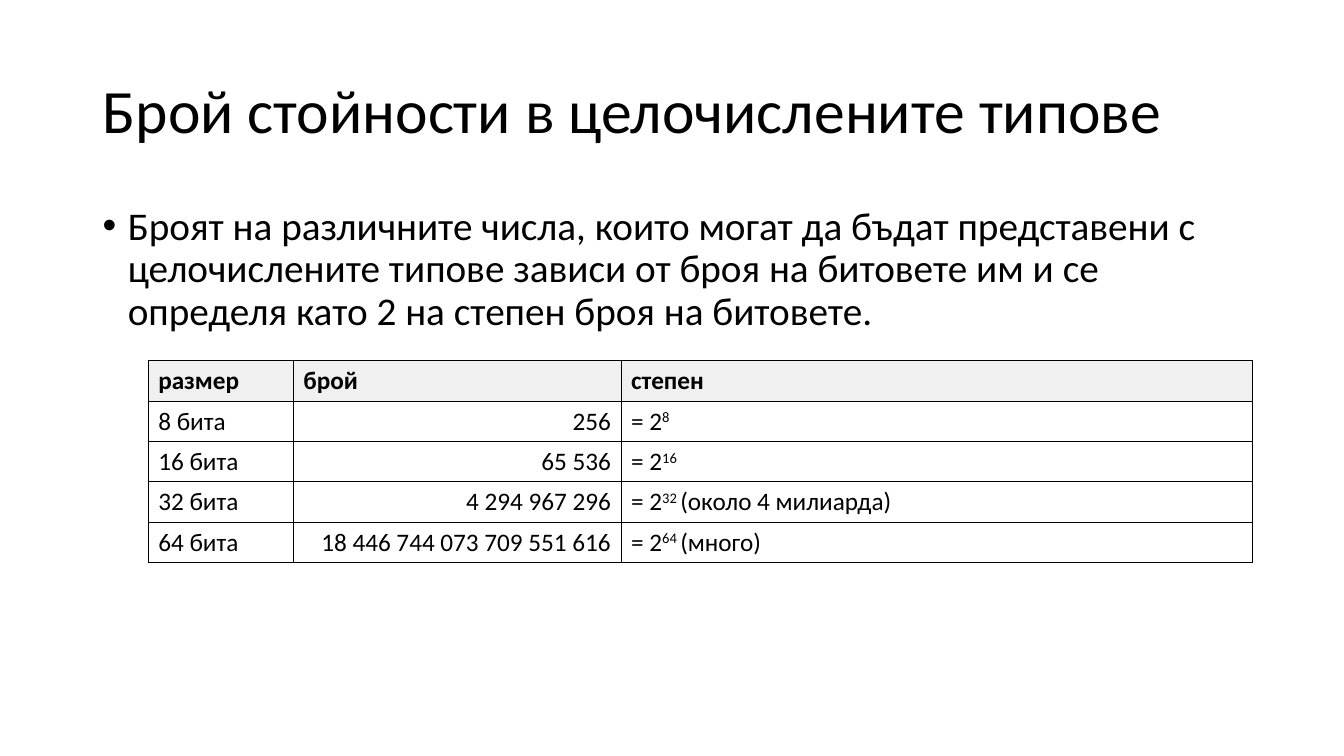
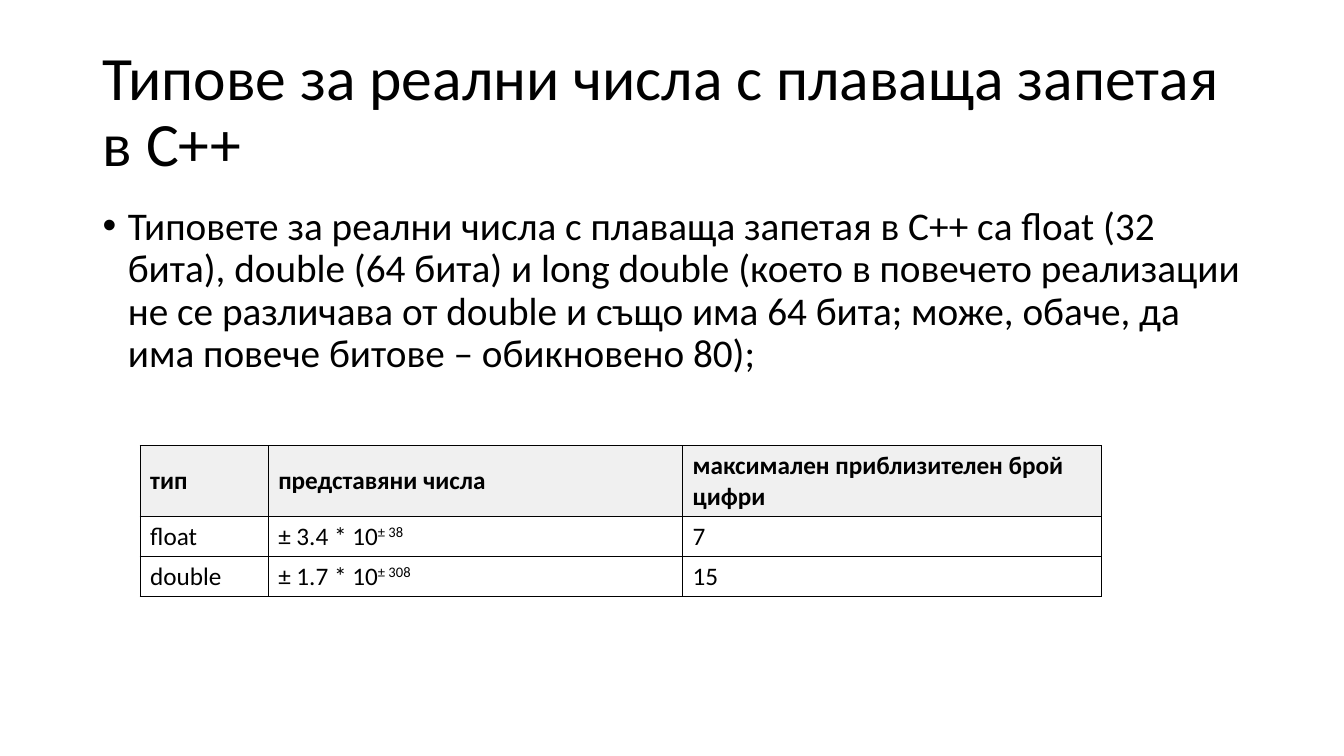
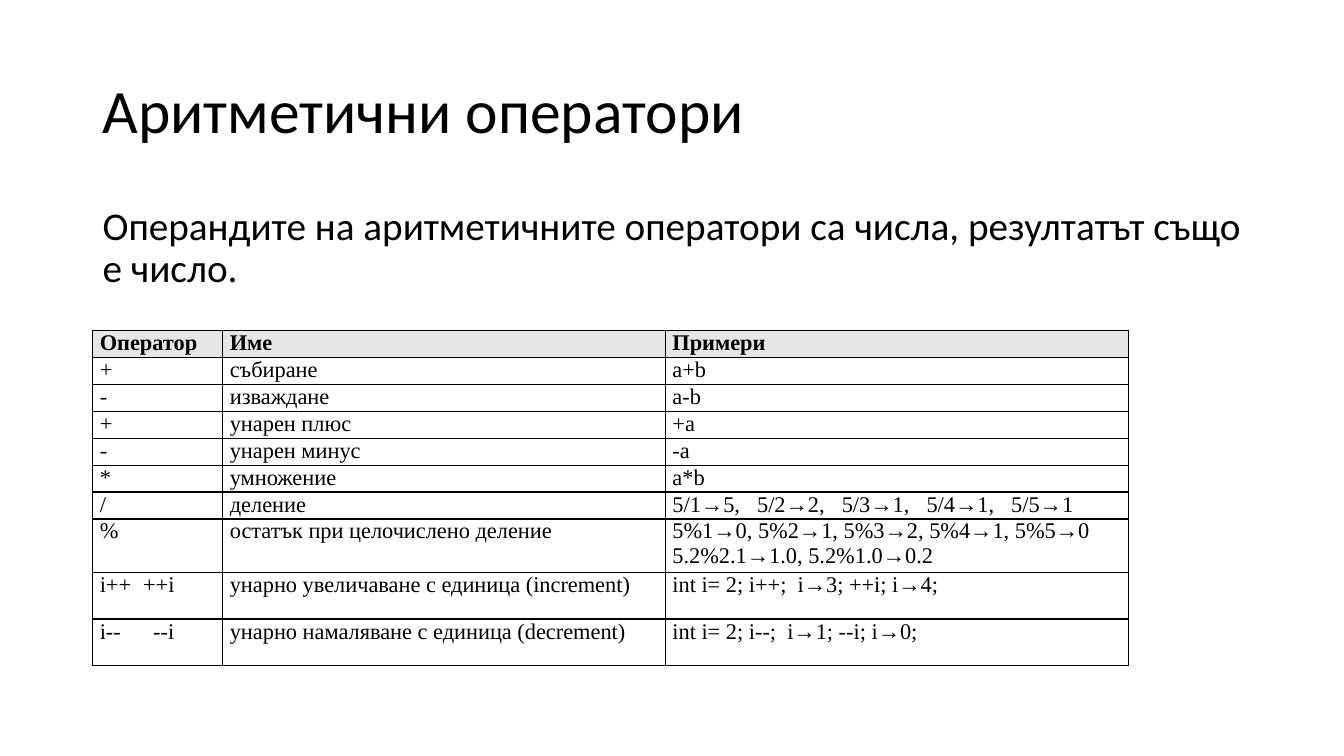
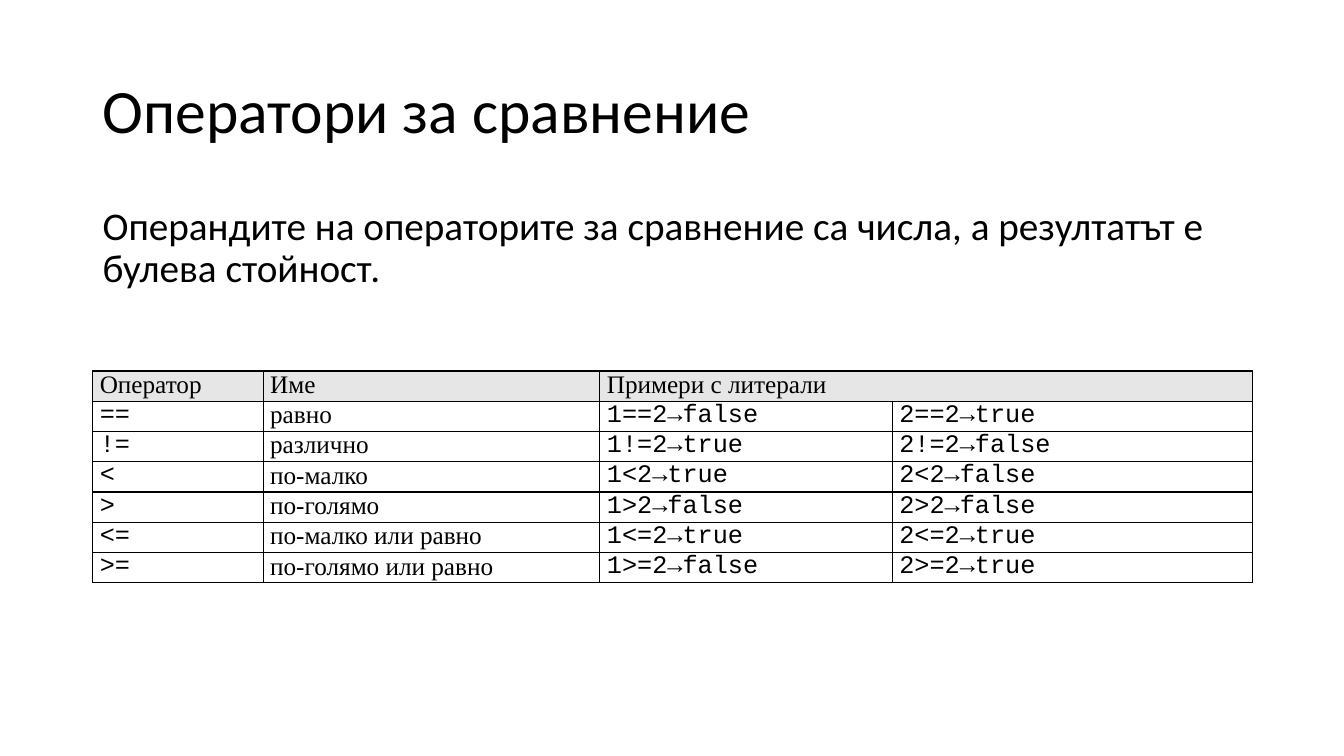
from lxml.etree import SubElement
from pptx import Presentation
from pptx.dml.color import RGBColor
from pptx.enum.text import MSO_ANCHOR as Anchor, PP_ALIGN as Align
from pptx.oxml.ns import qn
from pptx.util import Inches, Pt

BLACK = RGBColor(0, 0, 0)
WHITE = RGBColor(0xFF, 0xFF, 0xFF)
PALE_GRAY = RGBColor(0xF0, 0xF0, 0xF0)
GRAY = RGBColor(0xE6, 0xE6, 0xE6)
SANS, SERIF, MONO = "Calibri", "Times New Roman", "Courier New"

LEFT, WIDTH = 0.92, 11.5
TITLE = dict(top=0.4, height=1.45, size=44, anchor=Anchor.MIDDLE)
BODY = dict(top=2, height=4.76, size=28, anchor=Anchor.TOP, before=10)

# Table looks: cell margins run left, top, right, bottom
ROOMY = dict(head_fill=PALE_GRAY, head_bold=True, head_font=SANS, size=18,
             border=0.75, anchor=Anchor.MIDDLE, align=Align.LEFT,
             margins=(0.1, 0.05, 0.1, 0.05))
DENSE = dict(head_fill=GRAY, head_bold=True, head_font=SERIF, size=16,
             border=1, anchor=Anchor.TOP, align=Align.JUSTIFY,
             margins=(0.07, 0, 0.07, 0))

# Text between ^ marks is superscript; a (text, step) cell has tab stops every step inches
SLIDES = [
    dict(title="Брой стойности в целочислените типове",
         body="Броят на различните числа, които могат да бъдат представени с "
              "целочислените типове зависи от броя на битовете им и се определя "
              "като 2 на степен броя на битовете.",
         bullet=True,
         table=dict(
             ROOMY, at=(1.47, 3.58), cols=[1.44, 3.25, 6.26], heights=[0.4] * 5,
             fonts=[SANS] * 3, right_col=1,
             rows=[["размер", "брой", "степен"],
                   ["8 бита", "256", "= 2^8^"],
                   ["16 бита", "65 536", "= 2^16^"],
                   ["32 бита", "4 294 967 296", "= 2^32 ^(около 4 милиарда)"],
                   ["64 бита", "18 446 744 073 709 551 616", "= 2^64 ^(много)"]])),
    dict(title="Типове за реални числа с плаваща запетая в C++",
         body="Типовете за реални числа с плаваща запетая в C++ са float (32 бита), "
              "double (64 бита) и long double (което в повечето реализации не се "
              "различава от double и също има 64 бита; може, обаче, да има повече "
              "битове – обикновено 80);",
         bullet=True, body_height=1.95,
         table=dict(
             ROOMY, at=(1.39, 4.42), cols=[1.27, 4.11, 4.15], heights=[0.7, 0.4, 0.4],
             fonts=[SANS] * 3,
             rows=[["тип", "представяни числа", "максимален приблизителен брой цифри"],
                   ["float", "± 3.4 * 10^± 38^", "7"],
                   ["double", "± 1.7 * 10^± 308^", "15"]])),
    dict(title="Аритметични оператори",
         body="Операндите на аритметичните оператори са числа, резултатът също е число.",
         table=dict(
             DENSE, at=(LEFT, 3.28), cols=[1.29, 4.39, 4.59],
             heights=[0.23] * 7 + [0.46] * 3, fonts=[SERIF] * 3,
             rows=[["Оператор", "Име", "Примери"],
                   ["+", "събиране", "a+b"],
                   ["-", "изваждане", "a-b"],
                   ["+", "унарен плюс", "+a"],
                   ["-", "унарен минус", "-a"],
                   ["*", "умножение", "a*b"],
                   ["/", "деление", ("5/1→5,\t5/2→2,\t5/3→1,\t5/4→1,\t5/5→1", 0.84)],
                   ["%", "остатък при целочислено деление",
                    "5%1→0, 5%2→1, 5%3→2, 5%4→1, 5%5→0\n5.2%2.1→1.0, 5.2%1.0→0.2"],
                   [("i++\t++i", 0.43), "унарно увеличаване с единица (increment)",
                    "int i= 2; i++;  i→3; ++i; i→4;"],
                   [("i--\t--i", 0.53), "унарно намаляване с единица (decrement)",
                    "int i= 2; i--;  i→1; --i; i→0;"]])),
    dict(title="Оператори за сравнение",
         body="Операндите на операторите за сравнение са числа, а резултатът е "
              "булева стойност.",
         table=dict(
             DENSE, size=18, head_bold=False, at=(LEFT, 3.68),
             cols=[1.69, 3.34, 2.9, 3.57], heights=[0.28] * 7,
             fonts=[MONO, SERIF, MONO, MONO], head_merge=(2, 3),
             rows=[["Оператор", "Име", "Примери с литерали", ""],
                   ["==", "равно", "1==2→false", "2==2→true"],
                   ["!=", "различно", "1!=2→true", "2!=2→false"],
                   ["<", "по-малко", "1<2→true", "2<2→false"],
                   [">", "по-голямо", "1>2→false", "2>2→false"],
                   ["<=", "по-малко или равно", "1<=2→true", "2<=2→true"],
                   [">=", "по-голямо или равно", "1>=2→false", "2>=2→true"]])),
]


def add_run(p, text, font, size, bold=False):
    r = p.add_run()
    r.text = text
    for name, value in dict(name=font, size=Pt(size), bold=bold).items():
        setattr(r.font, name, value)
    r.font.color.rgb = BLACK
    return r


def add_text(slide, text, top, height, size, anchor, before=0, bullet=False):
    sp = slide.shapes.add_textbox(Inches(LEFT), Inches(top), Inches(WIDTH), Inches(height))
    tf = sp.text_frame
    tf.word_wrap, tf.vertical_anchor = True, anchor
    p = tf.paragraphs[0]
    p.line_spacing, p.space_before = 0.9, Pt(before)
    add_run(p, text, SANS, size)
    if bullet:
        pPr = p._p.get_or_add_pPr()
        pPr.set("marL", str(Inches(0.25)))
        pPr.set("indent", str(-Inches(0.25)))
        SubElement(pPr, qn("a:buFont"), typeface="Arial")
        SubElement(pPr, qn("a:buChar"), char="•")


def add_tab_stops(p, text, step):
    tabs = SubElement(p._p.get_or_add_pPr(), qn("a:tabLst"))
    for i in range(1, text.count("\t") + 1):
        SubElement(tabs, qn("a:tab"), pos=str(Inches(step * i)), algn="l")


def set_borders(cell, width):
    tcPr = cell._tc.get_or_add_tcPr()
    for side in ("lnL", "lnR", "lnT", "lnB"):
        ln = SubElement(tcPr, qn("a:" + side), w=str(Pt(width)))
        SubElement(SubElement(ln, qn("a:solidFill")), qn("a:srgbClr"), val=str(BLACK))


def fill_cell(cell, content, font, bold, fill, align, look):
    set_borders(cell, look["border"])
    cell.fill.solid()
    cell.fill.fore_color.rgb = fill
    cell.vertical_anchor = look["anchor"]
    for side, margin in zip(("left", "top", "right", "bottom"), look["margins"]):
        setattr(cell, "margin_" + side, Inches(margin))
    text, step = content if isinstance(content, tuple) else (content, 0)
    tf = cell.text_frame
    for i, line in enumerate(text.split("\n")):
        p = tf.add_paragraph() if i else tf.paragraphs[0]
        p.alignment = align
        if step:
            add_tab_stops(p, line, step)
        for j, part in enumerate(line.split("^")):
            if part:
                r = add_run(p, part, font, look["size"], bold)
                if j % 2:
                    r._r.get_or_add_rPr().set("baseline", "30000")


def add_grid(slide, look):
    rows, cols, heights = look["rows"], look["cols"], look["heights"]
    left, top = look["at"]
    table = slide.shapes.add_table(
        len(rows), len(cols), Inches(left), Inches(top),
        Inches(sum(cols)), Inches(sum(heights))).table
    for col, width in zip(table.columns, cols):
        col.width = Inches(width)
    for row, height in zip(table.rows, heights):
        row.height = Inches(height)
    for i, row in enumerate(rows):
        for j, content in enumerate(row):
            if i == 0:
                font, bold, fill = look["head_font"], look["head_bold"], look["head_fill"]
            else:
                font, bold, fill = look["fonts"][j], False, WHITE
            to_right = i > 0 and j == look.get("right_col")
            align = Align.RIGHT if to_right else look["align"]
            fill_cell(table.cell(i, j), content, font, bold, fill, align, look)
    if "head_merge" in look:
        first, last = look["head_merge"]
        table.cell(0, first).merge(table.cell(0, last))


def main():
    prs = Presentation()
    prs.slide_width, prs.slide_height = Inches(13.33), Inches(7.5)
    for item in SLIDES:
        slide = prs.slides.add_slide(prs.slide_layouts[6])
        add_text(slide, item["title"], **TITLE)
        body = dict(BODY, height=item.get("body_height", BODY["height"]))
        add_text(slide, item["body"], bullet=item.get("bullet", False), **body)
        add_grid(slide, item["table"])
    prs.save("out.pptx")


if __name__ == "__main__":
    main()
